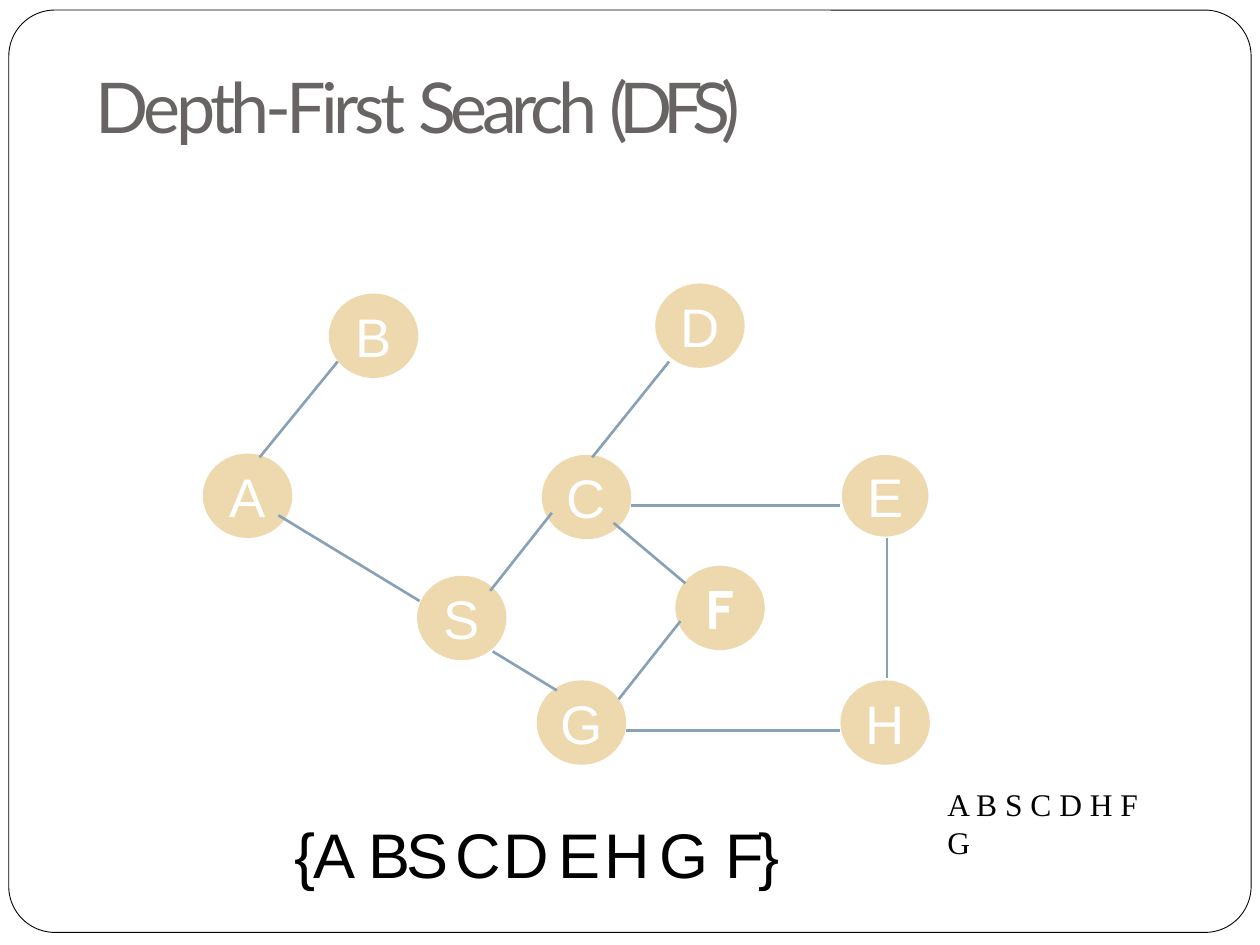
import pptx
import pptx.util
import pptx.dml.color
import pptx.enum.shapes
import pptx.enum.text
import pptx.oxml.ns
import lxml.etree

Inches = pptx.util.Inches
Pt = pptx.util.Pt
RGBColor = pptx.dml.color.RGBColor
SHAPE = pptx.enum.shapes.MSO_SHAPE
LINE = pptx.enum.shapes.MSO_CONNECTOR
ALIGN = pptx.enum.text.PP_ALIGN
ANCHOR = pptx.enum.text.MSO_ANCHOR

WHITE = RGBColor(0xFF, 0xFF, 0xFF)
BLACK = RGBColor(0x00, 0x00, 0x00)
GREY = RGBColor(0x69, 0x64, 0x64)
SAND = RGBColor(0xED, 0xD9, 0xAD)
STEEL = RGBColor(0x87, 0xA1, 0xB6)

NODE_W, NODE_H = 0.71, 0.67

# Letter: left and top within the graph, letter spacing
NODES = {
    "C": (2.69, 1.36, -3.7),
    "G": (2.65, 3.15, -0.2),
    "H": (5.06, 3.15, -3.7),
    "S": (1.70, 2.32, -5.2),
    "D": (3.59, 0.00, -3.7),
    "E": (5.06, 1.35, -7.1),
    "F": (3.75, 2.24, -3.2),
    "B": (1.00, 0.08, -5.2),
    "A": (0.00, 1.35, -2),
}

# Start and end of each edge within the graph
EDGES = [
    (5.43, 2.02, 5.43, 3.13),  # E-H
    (3.40, 1.76, 5.06, 1.76),  # C-E
    (3.36, 3.55, 5.06, 3.55),  # G-H
    (0.60, 1.84, 1.72, 2.52),  # A-S
    (2.30, 2.92, 2.81, 3.23),  # S-G
    (3.26, 1.90, 3.83, 2.38),  # C-F
    (2.77, 1.82, 2.28, 2.44),  # C-S
    (3.79, 2.68, 3.30, 3.30),  # F-G
    (1.07, 0.62, 0.45, 1.38),  # B-A
    (3.70, 0.62, 3.09, 1.38),  # D-C
]


def write(shape, runs, font="Arial", size=18, color=BLACK, bold=False,
          align=ALIGN.LEFT, anchor=ANCHOR.TOP, pad=(0, 0.01, 0, 0),
          before=1, wrap=True):
    """Fill a shape with one paragraph of (text, letter spacing) runs."""
    frame = shape.text_frame
    frame.word_wrap = wrap
    frame.vertical_anchor = anchor
    (frame.margin_left, frame.margin_top,
     frame.margin_right, frame.margin_bottom) = map(Inches, pad)
    para = frame.paragraphs[0]
    para.alignment = align
    para.space_before = Pt(before)
    for text, space in runs:
        run = para.add_run()
        run.text = text
        run.font.name = font
        run.font.size = Pt(size)
        run.font.bold = bold
        run.font.color.rgb = color
        run.font._element.set("spc", str(round(space * 100)))


def add_text(slide, box, runs, **style):
    write(slide.shapes.add_textbox(*map(Inches, box)), runs, **style)


def add_frame(slide, box):
    frame = slide.shapes.add_shape(SHAPE.ROUNDED_RECTANGLE, *map(Inches, box))
    frame.adjustments[0] = 0.05
    frame.shadow.inherit = False
    frame.fill.solid()
    frame.fill.fore_color.rgb = WHITE
    frame.line.color.rgb = BLACK
    frame.line.width = Pt(0.5)


def add_node(slide, left, top, name, space):
    node = slide.shapes.add_shape(SHAPE.OVAL, Inches(left), Inches(top),
                                  Inches(NODE_W), Inches(NODE_H))
    node.shadow.inherit = False
    node.fill.solid()
    node.fill.fore_color.rgb = SAND
    if name == "E":  # the one node with a white rim
        node.line.color.rgb = WHITE
        node.line.width = Pt(1.5)
    else:
        node.line.fill.background()
    strong = name == "F"
    write(node, [(name, space)], font="Cabin" if strong else "Arial", size=31,
          color=WHITE, bold=strong, align=ALIGN.CENTER, anchor=ANCHOR.MIDDLE,
          pad=(0, 0, 0, 0), before=0, wrap=False)


def add_edge(slide, *ends):
    edge = slide.shapes.add_connector(LINE.STRAIGHT, *map(Inches, ends))
    edge.line.color.rgb = STEEL
    edge.line.width = Pt(1.5)
    lxml.etree.SubElement(edge._element.spPr,
                          pptx.oxml.ns.qn("a:effectLst"))


def add_graph(slide, left, top):
    for name, (x, y, space) in NODES.items():
        add_node(slide, left + x, top + y, name, space)
    for x1, y1, x2, y2 in EDGES:
        add_edge(slide, left + x1, top + y1, left + x2, top + y2)


def main():
    deck = pptx.Presentation()
    deck.slide_width, deck.slide_height = Inches(10), Inches(7.5)
    slide = deck.slides.add_slide(deck.slide_layouts[6])

    # Border and title
    add_frame(slide, (0.07, 0.08, 9.86, 7.32))
    add_text(slide, (0.76, 0.41, 5.94, 0.76),
             [("Depth-First ", -2.6), ("Search ", -3.1), ("(DFS)", -5.2)],
             font="Lato", size=40, color=GREY, anchor=ANCHOR.BOTTOM)

    # Graph
    add_graph(slide, 1.61, 2.25)

    # Visit orders
    add_text(slide, (2.34, 6.46, 4, 0.63),
             [("{A ", -1.1), ("B S ", -6), ("C D ", -4.3), ("E ", -8.2),
              ("H ", -4.3), ("G ", -0.2), ("F}", -3.1)], size=36)
    add_text(slide, (7.42, 6.18, 1.75, 0.4), [("A B S C D H F G", 0)],
             font="Times New Roman", pad=(0.1, 0.05, 0.1, 0.05), before=0)

    deck.save("out.pptx")


if __name__ == "__main__":
    main()
